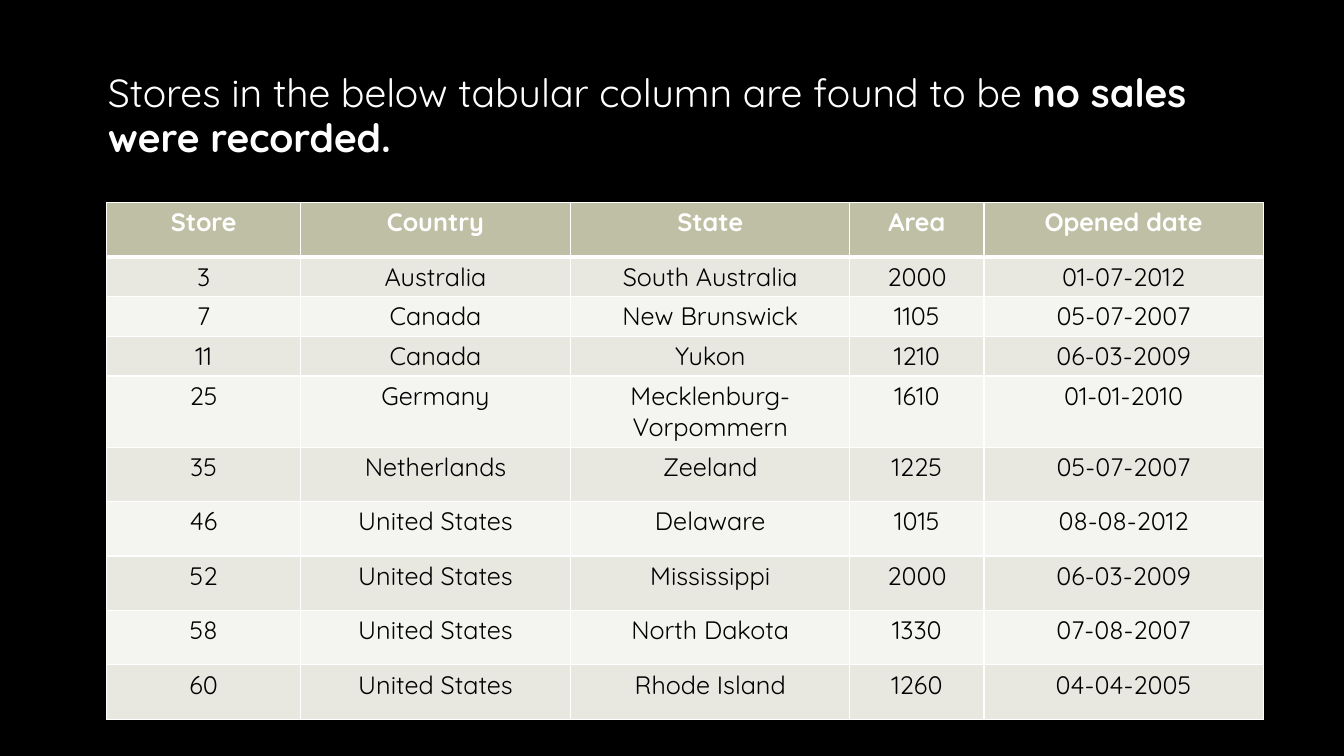
from lxml import etree
from pptx import Presentation
from pptx import util as u
from pptx.dml.color import RGBColor
from pptx.enum import text
from pptx.oxml.ns import qn

WIDTH, HEIGHT = 13.33, 7.5
FONT = "Quicksand"
BLACK = RGBColor(0x00, 0x00, 0x00)
WHITE = RGBColor(0xFF, 0xFF, 0xFF)
OLIVE = RGBColor(0xBF, 0xBF, 0xA5)
BANDS = (RGBColor(0xF4, 0xF4, 0xF0), RGBColor(0xE8, 0xE8, 0xE1))

TITLE = (
    ("Stores in the below tabular column are found to be ", False),
    ("no sales were recorded.", True),
)
STORES = (
    ("Store", "Country", "State", "Area", "Opened date"),
    ("3", "Australia", "South Australia", "2000", "01-07-2012"),
    ("7", "Canada", "New Brunswick", "1105", "05-07-2007"),
    ("11", "Canada", "Yukon", "1210", "06-03-2009"),
    ("25", "Germany", "Mecklenburg-Vorpommern", "1610", "01-01-2010"),
    ("35", "Netherlands", "Zeeland", "1225", "05-07-2007"),
    ("46", "United States", "Delaware", "1015", "08-08-2012"),
    ("52", "United States", "Mississippi", "2000", "06-03-2009"),
    ("58", "United States", "North Dakota", "1330", "07-08-2007"),
    ("60", "United States", "Rhode Island", "1260", "04-04-2005"),
)
COLUMN_WIDTHS = (1.92, 2.68, 2.77, 1.33, 2.77)
TALL, SHORT, WRAPPED = 0.54, 0.36, 0.63
ROW_HEIGHTS = (TALL, *[SHORT] * 3, WRAPPED, *[TALL] * 5)


def add_run(paragraph, words, size, color, bold):
    run = paragraph.add_run()
    run.text = words
    formats = {"name": FONT, "size": u.Pt(size), "bold": bold}
    for name, value in formats.items():
        setattr(run.font, name, value)
    run.font.color.rgb = color


def set_borders(cell, bottom_width, top_width):
    """Insert white border lines ahead of the cell's fill."""
    properties = cell._tc.get_or_add_tcPr()
    widths = {"a:lnL": 1, "a:lnR": 1, "a:lnT": top_width, "a:lnB": bottom_width}
    for position, (tag, width) in enumerate(widths.items()):
        line = etree.Element(qn(tag), w=str(u.Pt(width)))
        fill = etree.SubElement(line, qn("a:solidFill"))
        etree.SubElement(fill, qn("a:srgbClr"), val=str(WHITE))
        properties.insert(position, line)


def fill_title(title):
    place = {"left": 0.97, "top": 0.66, "width": 11.66, "height": 1.99}
    for name, value in place.items():
        setattr(title, name, u.Inches(value))
    frame = title.text_frame
    frame.word_wrap = True
    frame.auto_size = text.MSO_AUTO_SIZE.NONE
    frame.vertical_anchor = text.MSO_ANCHOR.TOP
    paragraph = frame.paragraphs[0]
    paragraph.alignment = text.PP_ALIGN.LEFT
    paragraph.line_spacing = 0.96
    for words, bold in TITLE:
        add_run(paragraph, words, 28, WHITE, bold)


def add_store_table(slide):
    table = slide.shapes.add_table(
        len(STORES), len(COLUMN_WIDTHS), u.Inches(1.06), u.Inches(2.01),
        u.Inches(sum(COLUMN_WIDTHS)), u.Inches(sum(ROW_HEIGHTS))).table
    for column, width in zip(table.columns, COLUMN_WIDTHS):
        column.width = u.Inches(width)
    for index, (row, height, values) in enumerate(
            zip(table.rows, ROW_HEIGHTS, STORES)):
        row.height = u.Inches(height)
        header = index == 0
        for cell, value in zip(row.cells, values):
            cell.margin_top = cell.margin_bottom = u.Inches(0.04)
            cell.fill.solid()
            cell.fill.fore_color.rgb = OLIVE if header else BANDS[index % 2]
            set_borders(cell, 3 if header else 1, 3 if index == 1 else 1)
            paragraph = cell.text_frame.paragraphs[0]
            paragraph.alignment = text.PP_ALIGN.CENTER
            add_run(paragraph, value, 18, WHITE if header else BLACK, header)


def main():
    presentation = Presentation()
    presentation.slide_width = u.Inches(WIDTH)
    presentation.slide_height = u.Inches(HEIGHT)
    slide = presentation.slides.add_slide(
        presentation.slide_layouts.get_by_name("Title Only"))
    slide.background.fill.solid()
    slide.background.fill.fore_color.rgb = BLACK
    fill_title(slide.shapes.title)
    add_store_table(slide)
    presentation.save("out.pptx")


if __name__ == "__main__":
    main()
